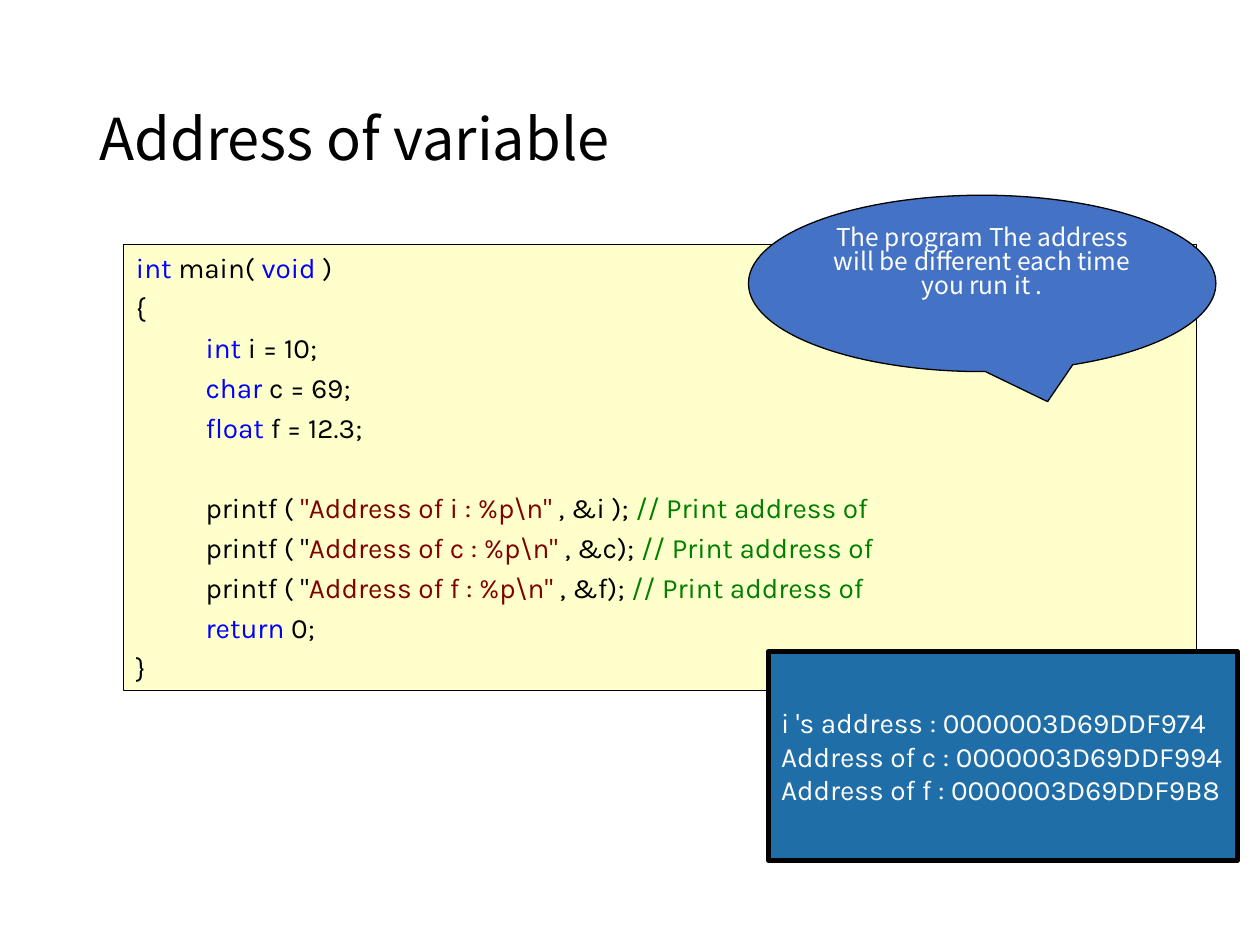
from pptx import Presentation
from pptx.dml.color import RGBColor
from pptx.enum.shapes import MSO_SHAPE as Shape
from pptx.enum.text import MSO_ANCHOR as Anchor, PP_ALIGN as Align
from pptx.util import Pt

COLORS = {
    "plain": "000000", "keyword": "0000FF", "string": "800000", "comment": "008000",
    "white": "FFFFFF", "code": "FFFFCC", "output": "1F6EA7", "callout": "4472C4",
}
SANS, CODE = "Noto Sans CJK KR", "Karla"
LINE_GAP, BLOCK_GAP = 3.7, 26.1


def color(name):
    """Return the named colour."""
    return RGBColor.from_string(COLORS[name])


def add_span(para, text, size, font, tone):
    """Append one formatted run to a paragraph."""
    span = para.add_run()
    span.text = text
    span.font.size, span.font.name = Pt(size), font
    span.font.color.rgb = color(tone)


def add_paras(box, count, anchor, align):
    """Prepare a wrapped text frame and return its paragraphs."""
    frame = box.text_frame
    frame.word_wrap, frame.vertical_anchor = True, anchor
    for _ in range(count - 1):
        frame.add_paragraph()
    for para in frame.paragraphs:
        para.alignment = align
    return frame.paragraphs


def add_panel(page, kind, bounds, fill, line_width):
    """Add a filled shape with a black outline."""
    panel = page.shapes.add_shape(kind, *map(Pt, bounds))
    panel.shadow.inherit = False
    panel.fill.solid()
    panel.fill.fore_color.rgb = color(fill)
    panel.line.color.rgb = color("plain")
    panel.line.width = Pt(line_width)
    return panel


def add_title(page, bounds, text):
    """Add the slide title."""
    box = page.shapes.add_textbox(*map(Pt, bounds))
    para = add_paras(box, 1, Anchor.MIDDLE, Align.LEFT)[0]
    para.line_spacing = 0.9
    add_span(para, text, 33, SANS, "plain")


def add_code(page, bounds, blocks):
    """Add the listing, with a wider gap between its blocks."""
    panel = add_panel(page, Shape.RECTANGLE, bounds, "code", 0.25)
    lines = [(line, BLOCK_GAP if row == 0 else LINE_GAP)
             for block in blocks for row, line in enumerate(block)]
    paras = add_paras(panel, len(lines), Anchor.TOP, Align.LEFT)
    for index, (para, (line, gap)) in enumerate(zip(paras, lines)):
        para.space_before = Pt(gap if index else 0)
        if line[0][0].startswith(" "):
            para.level = 1
            para._p.get_or_add_pPr().set("marL", str(Pt(36)))
        for text, tone in line:
            add_span(para, text, 16, CODE, tone)


def add_output(page, bounds, lines):
    """Add the program output panel."""
    panel = add_panel(page, Shape.RECTANGLE, bounds, "output", 3)
    paras = add_paras(panel, len(lines), Anchor.MIDDLE, Align.JUSTIFY)
    for para, line in zip(paras, lines):
        add_span(para, line, 16, CODE, "white")


def add_callout(page, bounds, text):
    """Add the speech bubble."""
    bubble = add_panel(page, Shape.OVAL_CALLOUT, bounds, "callout", 0.75)
    bubble.adjustments[0], bubble.adjustments[1] = 0.14, 0.67
    para = add_paras(bubble, 1, Anchor.TOP, Align.CENTER)[0]
    para.line_spacing = 0.82
    add_span(para, text, 14, SANS, "white")


def declare(kind, rest):
    """Return the runs of an indented keyword line."""
    return [(" ", "plain"), (f"{kind} ", "keyword"), (rest, "plain")]


def print_address(name, argument, quote_tone):
    """Return the runs of a printf line."""
    return [(" printf ( ", "plain"), ('"', quote_tone),
            (f'Address of {name} : %p\\n" ', "string"),
            (f", &{argument}); ", "plain"), ("// Print address of", "comment")]


def main():
    """Build and save the slide."""
    deck = Presentation()
    deck.slide_width, deck.slide_height = Pt(720), Pt(540)
    page = deck.slides.add_slide(deck.slide_layouts[6])
    add_title(page, (49.7, 28.8, 620.6, 104.4), "Address of variable")
    add_code(page, (70.6, 139.7, 612.7, 254.9), [
        [
            [("int ", "keyword"), ("main( ", "plain"), ("void ", "keyword"), (")", "plain")],
            [("{", "plain")],
            declare("int", "i = 10;"),
            declare("char", "c = 69;"),
            declare("float", "f = 12.3;"),
        ],
        [
            print_address("i", "i ", "string"),
            print_address("c", "c", "plain"),
            print_address("f", "f", "plain"),
            declare("return", "0;"),
            [("}", "plain")],
        ],
    ])
    add_output(page, (439.2, 372.2, 267.8, 119.5), [
        "i 's address : 0000003D69DDF974",
        "Address of c : 0000003D69DDF994",
        "Address of f : 0000003D69DDF9B8",
    ])
    add_callout(page, (427.7, 111.6, 267.1, 100.8),
                "The program The address will be different each time you run it .")
    deck.save("out.pptx")


if __name__ == "__main__":
    main()
